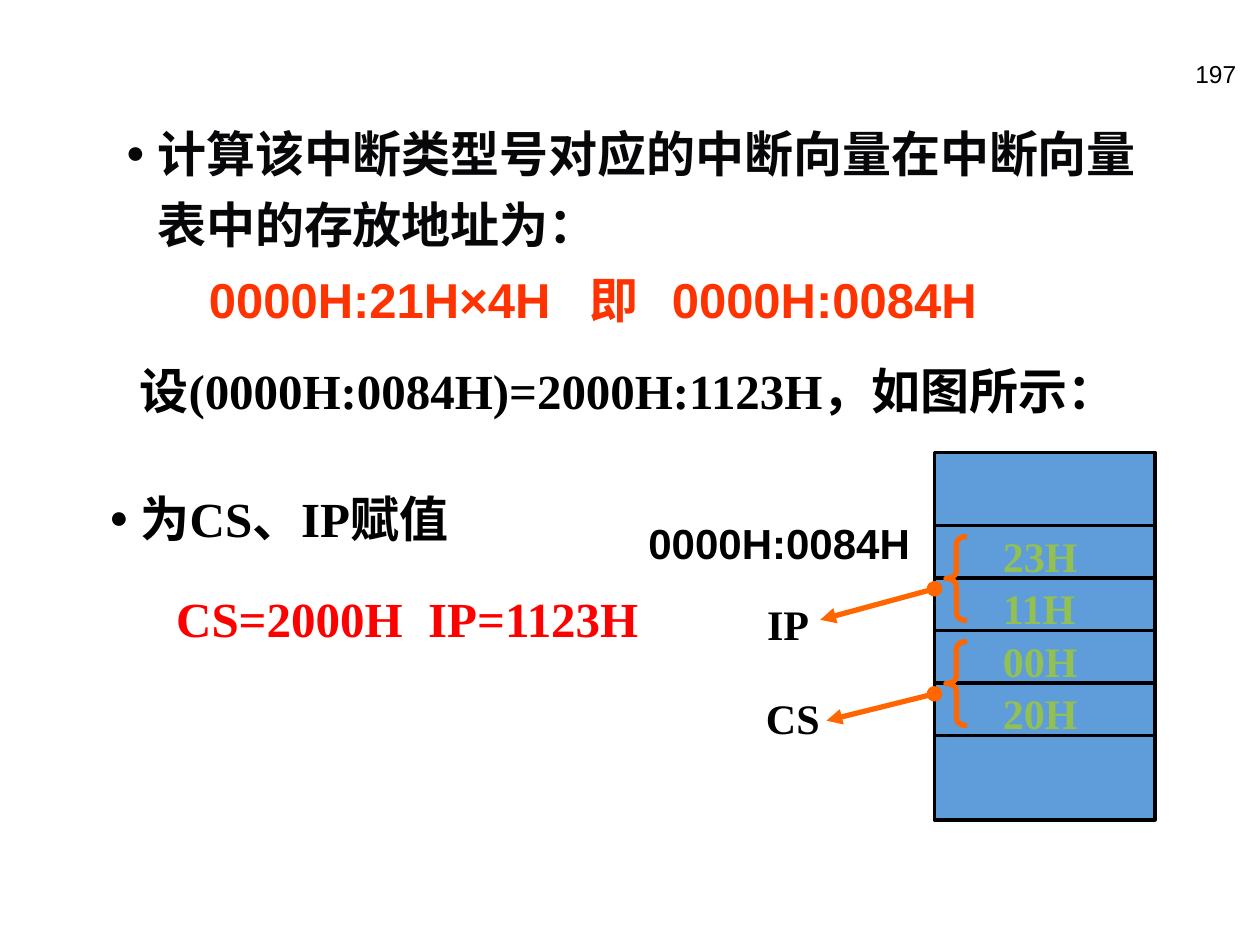
from lxml.etree import SubElement
from pptx import Presentation
from pptx.dml.color import RGBColor
from pptx.enum.shapes import MSO_CONNECTOR, MSO_SHAPE
from pptx.enum.text import PP_ALIGN
from pptx.oxml.ns import qn
from pptx.util import Pt

BLACK = RGBColor(0x00, 0x00, 0x00)
INK = RGBColor(0x07, 0x07, 0x09)
BLUE = RGBColor(0x5E, 0x9C, 0xDA)
GREEN = RGBColor(0x93, 0xC0, 0x52)
ORANGE = RGBColor(0xFF, 0x66, 0x00)
SCARLET = RGBColor(0xFF, 0x33, 0x00)
RED = RGBColor(0xFF, 0x00, 0x00)
SANS = "Arial"
SERIF = "Times New Roman"

# Memory table: left edge, first inner line, row height, width
LEFT, TOP, ROW, WIDTH = 534, 300.4, 30, 126


def add_bullet(para, color):
    props = para._p.get_or_add_pPr()
    props.set("marL", str(Pt(18)))
    props.set("indent", str(-Pt(18)))
    tint = SubElement(props, qn("a:buClr"))
    SubElement(tint, qn("a:srgbClr"), val=str(color))
    SubElement(props, qn("a:buSzPct"), val="65000")
    SubElement(props, qn("a:buFont"), typeface=SERIF)
    SubElement(props, qn("a:buChar"), char="●")


def add_tabs(para, stops):
    tabs = SubElement(para._p.get_or_add_pPr(), qn("a:tabLst"))
    for stop in stops:
        SubElement(tabs, qn("a:tab"), pos=str(Pt(stop)), algn="l")


def add_text(slide, text, x, y, w, h=41, size=28, font=SERIF, color=BLACK,
             bold=True, align=PP_ALIGN.LEFT, bullet=False, tabs=(), space=1):
    box = slide.shapes.add_textbox(Pt(x), Pt(y), Pt(w), Pt(h))
    frame = box.text_frame
    frame.word_wrap = True
    para = frame.paragraphs[0]
    para.alignment = align
    para.line_spacing = space
    if bullet:
        add_bullet(para, color)
    if tabs:
        add_tabs(para, tabs)
    run = para.add_run()
    run.text = text
    run.font.name = font
    run.font.size = Pt(size)
    run.font.bold = bold
    run.font.color.rgb = color


def add_line(slide, x1, y1, x2, y2, color, width, arrow=False):
    line = slide.shapes.add_connector(
        MSO_CONNECTOR.STRAIGHT, Pt(x1), Pt(y1), Pt(x2), Pt(y2))
    line.line.color.rgb = color
    line.line.width = Pt(width)
    if arrow:
        stroke = line.line._get_or_add_ln()
        SubElement(stroke, qn("a:headEnd"), type="oval")
        SubElement(stroke, qn("a:tailEnd"), type="triangle")
    SubElement(line._element.spPr, qn("a:effectLst"))


def add_shape(slide, kind, x, y, w, h, color, width, fill=None):
    shape = slide.shapes.add_shape(kind, Pt(x), Pt(y), Pt(w), Pt(h))
    shape.shadow.inherit = False
    if fill is None:
        shape.fill.background()
    else:
        shape.fill.solid()
        shape.fill.fore_color.rgb = fill
    shape.line.color.rgb = color
    shape.line.width = Pt(width)
    return shape


def add_memory(slide):
    # Cells and their bytes
    add_shape(slide, MSO_SHAPE.RECTANGLE, LEFT, 258.5, WIDTH, 210,
              BLACK, 2, BLUE)
    for i in range(5):
        y = TOP + i * ROW
        add_line(slide, LEFT, y, LEFT + WIDTH, y, BLACK, 2)
    for i, byte in enumerate(("23H", "11H", "00H", "20H")):
        add_text(slide, byte, 566, TOP - 0.9 + i * ROW, 84, 36, 24,
                 color=GREEN)
    add_text(slide, "0000H:0084H", 360, 292.3, 167, 36, 24, SANS,
             align=PP_ALIGN.RIGHT)

    # Braces, arrows and register names
    marks = (("IP", 431.3, 338.4, 468.7, 354.2),
             ("CS", 430.6, 392.4, 472.3, 411.8))
    for i, (name, x, y, tip_x, tip_y) in enumerate(marks):
        top = TOP + 6.2 + 2 * i * ROW
        brace = add_shape(slide, MSO_SHAPE.LEFT_BRACE, 540.5, top, 12, 48,
                          ORANGE, 3)
        brace.adjustments[0] = 0.33
        add_line(slide, LEFT, top + 29.9, tip_x, tip_y, ORANGE, 3, arrow=True)
        add_text(slide, name, x, y, 56, 36, 24)


def main():
    deck = Presentation()
    deck.slide_width, deck.slide_height = Pt(720), Pt(540)
    slide = deck.slides.add_slide(deck.slide_layouts[6])

    # Page number
    add_text(slide, "197", 564, 30.2, 149.5, 36, 14, SANS, bold=False,
             align=PP_ALIGN.RIGHT)

    add_memory(slide)

    # Vector address
    add_text(slide, "计算该中断类型号对应的中断向量在中断向量表中的存放地址为：",
             64.8, 60.5, 618, 88, color=INK, bullet=True, space=1.2)
    add_text(slide, "0000H:21H×4H\t即\t0000H:0084H", 112.3, 150.5, 470,
             font=SANS, color=SCARLET, tabs=(217.5, 264.5))
    add_text(slide, "设(0000H:0084H)=2000H:1123H，如图所示：",
             72.7, 202.3, 620)

    # Register values
    add_text(slide, "为CS、IP赋值", 55.4, 275.8, 240, bullet=True)
    add_text(slide, "CS=2000H\tIP=1123H", 93.6, 332.6, 290, color=RED,
             tabs=(144,))

    deck.save("out.pptx")


if __name__ == "__main__":
    main()
